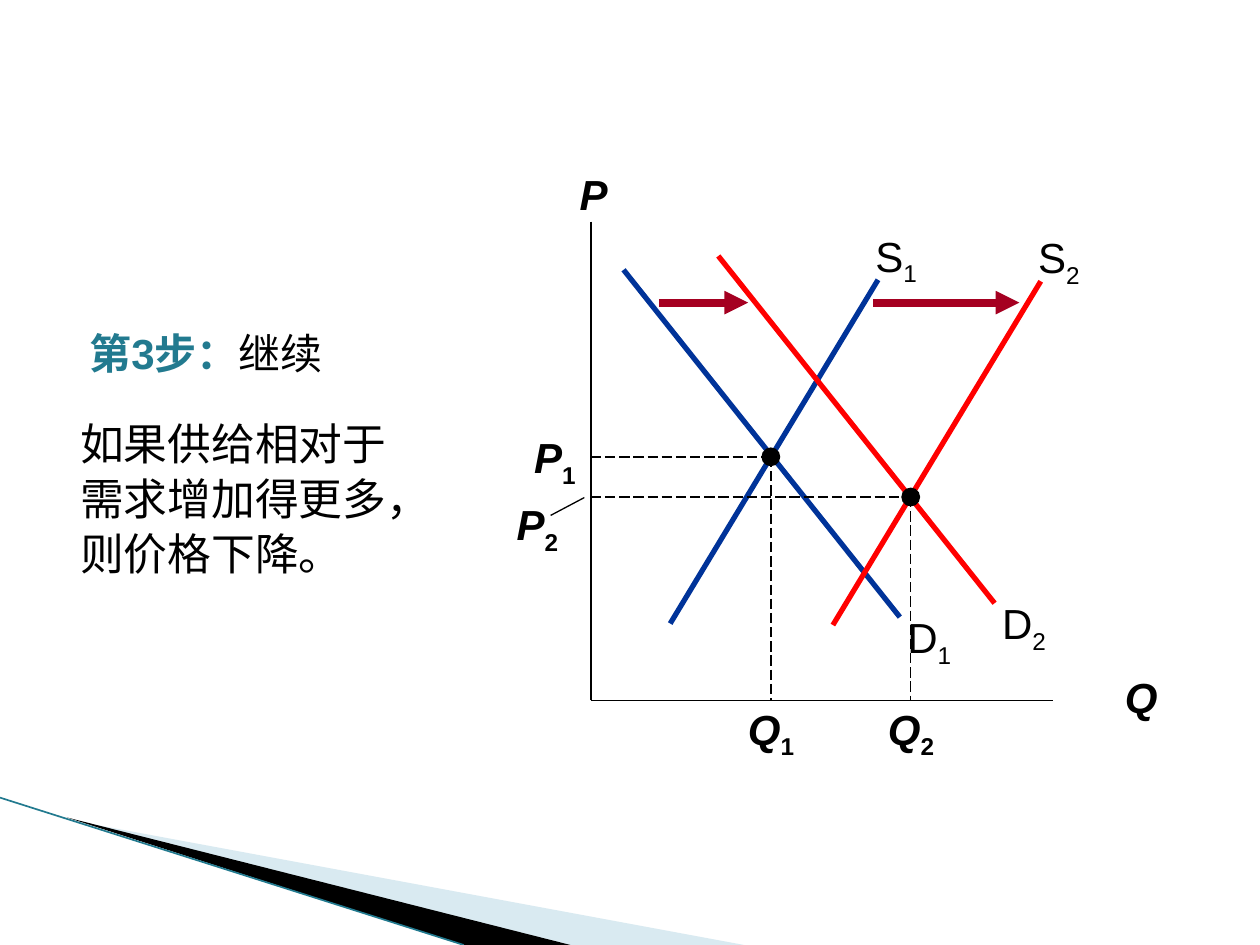
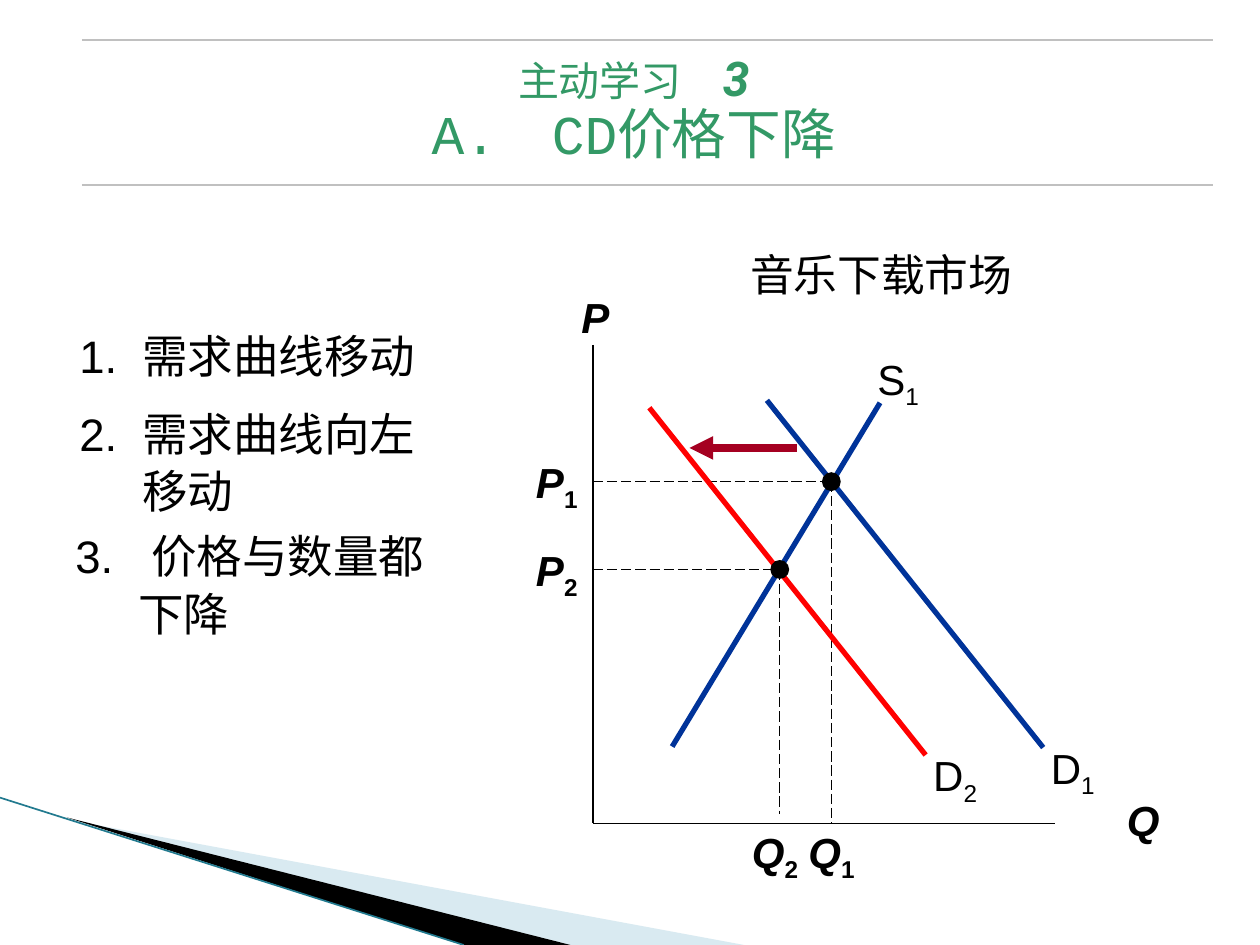
from dataclasses import dataclass

from lxml.etree import SubElement
from pptx import Presentation
from pptx.dml.color import RGBColor
from pptx.enum.dml import MSO_LINE
from pptx.enum.shapes import MSO_CONNECTOR, MSO_SHAPE
from pptx.enum.text import PP_ALIGN
from pptx.oxml.ns import qn
from pptx.util import Cm, Pt


@dataclass(frozen=True)
class Theme:
    ink: str = "000000"
    paper: str = "FFFFFF"
    teal: str = "227A8F"
    wedge: str = "A0CBDC"
    title: str = "339966"
    rule: str = "C0C0C0"
    before: str = "003399"
    after: str = "FF0000"
    shift: str = "A50021"
    font: str = "Arial"
    mono: str = "Courier New"
    title_font: str = "Roboto"
    label_size: float = 24
    body_size: float = 25
    list_size: float = 26
    lead_size: float = 23.4
    number_size: float = 27.3
    title_size: float = 31.2


THEME = Theme()
PAGE_WIDTH, PAGE_HEIGHT = 25.4, 19.05
AXIS_WIDTH, AXIS_HEIGHT = 9.32, 9.65
DEMAND_RUN = (5.57, 7.0)
SUPPLY_RUN = (4.19, -6.93)
DOT = 0.38


def add_line(page, start, end, color, width, dash=None, arrow=False):
    line = page.shapes.add_connector(
        MSO_CONNECTOR.STRAIGHT, *(Cm(value) for value in (*start, *end)))
    line.line.color.rgb = RGBColor.from_string(color)
    line.line.width = Pt(width)
    if dash:
        line.line.dash_style = dash
    if arrow:
        SubElement(line.line._get_or_add_ln(), qn("a:tailEnd"), type="triangle")
    SubElement(line._element.spPr, qn("a:effectLst"))


def fill_shape(shape, color):
    shape.shadow.inherit = False
    shape.fill.solid()
    shape.fill.fore_color.rgb = RGBColor.from_string(color)
    shape.line.fill.background()


def add_box(page, left, top, width, height, inset=True):
    box = page.shapes.add_textbox(Cm(left), Cm(top), Cm(width), Cm(height))
    frame = box.text_frame
    frame.word_wrap = True
    if not inset:
        frame.margin_left = frame.margin_right = 0
        frame.margin_top = frame.margin_bottom = 0
    return frame


def add_span(para, text, size, color=THEME.ink, font=THEME.font,
             bold=False, italic=False):
    span = para.add_run()
    span.text = text
    span.font.size = Pt(size)
    span.font.name = font
    span.font.bold = bold
    span.font.italic = italic
    span.font.color.rgb = RGBColor.from_string(color)
    return span


def add_label(page, left, top, width, height, letter, index="",
              strong=False, inset=True):
    """Place a centred letter with an optional subscript index."""
    para = add_box(page, left, top, width, height, inset).paragraphs[0]
    para.alignment = PP_ALIGN.CENTER
    add_span(para, letter, THEME.label_size, bold=strong, italic=strong)
    if index:
        span = add_span(para, index, THEME.label_size, bold=strong)
        span._r.get_or_add_rPr().set("baseline", "-25000")


def add_wedge(page, points, color, alpha=None):
    points = [(Cm(x), Cm(y)) for x, y in points]
    builder = page.shapes.build_freeform(*points[0], scale=1.0)
    builder.add_line_segments(points[1:], close=True)
    wedge = builder.convert_to_shape()
    fill_shape(wedge, color)
    if alpha:
        color_node = wedge._element.spPr.find(".//" + qn("a:srgbClr"))
        SubElement(color_node, qn("a:alpha"), val=str(alpha * 1000))


def add_corner_band(page):
    top = 16.08
    add_wedge(page, [(1.4, top + 0.45), (15, PAGE_HEIGHT), (11.5, PAGE_HEIGHT)],
              THEME.wedge, alpha=40)
    add_wedge(page, [(1.35, top + 0.4), (11.5, PAGE_HEIGHT), (9.33, PAGE_HEIGHT)],
              THEME.ink)
    add_line(page, (0, top), (9.35, PAGE_HEIGHT), THEME.teal, 0.95)


class MarketDiagram:
    """A price-quantity diagram; positions count from the top of the price axis."""

    def __init__(self, page, left, top):
        self.page, self.left, self.top = page, left, top
        corner = (0, AXIS_HEIGHT)
        self.line((0, 0), corner, THEME.ink, 1)
        self.line(corner, (AXIS_WIDTH, AXIS_HEIGHT), THEME.ink, 1)
        self.label(-0.53, -1.19, 1.17, 1.27, "P", strong=True)
        self.label(10.46, 8.94, 1.27, 1.27, "Q", strong=True)

    def at(self, x, y):
        return self.left + x, self.top + y

    def line(self, start, end, color, width, **options):
        add_line(self.page, self.at(*start), self.at(*end), color, width, **options)

    def label(self, x, y, *details, **options):
        add_label(self.page, *self.at(x, y), *details, **options)

    def curve(self, letter, index, start, color):
        run = DEMAND_RUN if letter == "D" else SUPPLY_RUN
        end_x, end_y = start[0] + run[0], start[1] + run[1]
        self.line(start, (end_x, end_y), color, 3)
        shift_x, shift_y = (-0.18, -0.23) if letter == "D" else (-0.41, -1.12)
        self.label(end_x + shift_x, end_y + shift_y, 1.55, 1.27, letter, index)

    def equilibrium(self, index, x, y, price_shift=(-1.4, -0.51),
                    quantity_shift=-0.67, gap=0):
        dashed = {"dash": MSO_LINE.LONG_DASH}
        self.line((0, y), (x, y), THEME.ink, 0.75, **dashed)
        self.line((x, y), (x, AXIS_HEIGHT - gap), THEME.ink, 0.75, **dashed)
        left, top = self.at(x - DOT / 2, y - DOT / 2)
        dot = self.page.shapes.add_shape(
            MSO_SHAPE.OVAL, Cm(left), Cm(top), Cm(DOT), Cm(DOT))
        fill_shape(dot, THEME.ink)
        for letter, label_x, label_y in (
                ("P", price_shift[0], y + price_shift[1]),
                ("Q", x + quantity_shift, AXIS_HEIGHT + 0.06)):
            self.label(label_x, label_y, 1.35, 1.02, letter, index,
                       strong=True, inset=False)

    def shift_arrow(self, x, y, length):
        self.line((x, y), (x + length, y), THEME.shift, 4.5, arrow=True)


def add_title(page, left, top, width, height):
    for rule_y in (top - 0.18, top + height + 0.1):
        add_line(page, (left, rule_y), (left + width, rule_y), THEME.rule, 1)
    frame = add_box(page, left, top, width, height)
    lead, heading = frame.paragraphs[0], frame.add_paragraph()
    for para in (lead, heading):
        para.alignment = PP_ALIGN.CENTER
        para.line_spacing = 0.9
    lead._p.get_or_add_pPr().set("marR", str(Cm(0.55)))
    add_span(lead, "主动学习　", THEME.lead_size, THEME.title, THEME.title_font)
    add_span(lead, "3", THEME.number_size, THEME.title, THEME.title_font,
             bold=True, italic=True)
    add_span(heading, "A.　CD价格下降", THEME.title_size, THEME.title, THEME.mono)


def add_step_text(page, left, top):
    step = add_box(page, left + 0.18, top, 7.14, 1.4).paragraphs[0]
    step.line_spacing = 0.85
    for text, font in (("第", THEME.mono), ("3", THEME.font), ("步：", THEME.mono)):
        add_span(step, text, THEME.label_size, THEME.teal, font, bold=True)
    add_span(step, "继续", THEME.label_size, font=THEME.mono)
    result = add_box(page, left, top + 1.6, 7.06, 5.08).paragraphs[0]
    result.line_spacing = 1.05
    add_span(result, "如果供给相对于需求增加得更多，则价格下降。", THEME.body_size)


def add_answers(page, left, top):
    answers = (
        (0, 0, 9, "1.\t需求曲线移动"),
        (0, 1.57, 7.85, "2.\t需求曲线向左移动"),
        (-0.08, 4.04, 7.9, "3.\t 价格与数量都下降"),
    )
    for x, y, width, text in answers:
        para = add_box(page, left + x, top + y, width, 1.5).paragraphs[0]
        para.line_spacing = 1.05
        properties = para._p.get_or_add_pPr()
        properties.set("marL", str(Cm(1.27)))
        properties.set("indent", str(-Cm(1.27)))
        add_span(para, text, THEME.list_size)


def add_market_name(page, left, top, width, height):
    box = page.shapes.add_shape(
        MSO_SHAPE.RECTANGLE, Cm(left), Cm(top), Cm(width), Cm(height))
    fill_shape(box, THEME.paper)
    para = box.text_frame.paragraphs[0]
    para.alignment = PP_ALIGN.CENTER
    add_span(para, "音乐下载市场", THEME.body_size)


def add_page(deck):
    page = deck.slides.add_slide(deck.slide_layouts[6])
    add_corner_band(page)
    return page


def build_step_page(deck):
    page = add_page(deck)
    add_step_text(page, 1.37, 6.63)
    diagram = MarketDiagram(page, 11.91, 4.47)
    diagram.curve("D", "1", (0.66, 0.97), THEME.before)
    diagram.curve("S", "1", (1.6, 8.1), THEME.before)
    diagram.equilibrium("1", 3.63, 4.74)
    diagram.curve("S", "2", (4.88, 8.13), THEME.after)
    diagram.curve("D", "2", (2.57, 0.69), THEME.after)
    diagram.shift_arrow(5.69, 1.63, 2.95)
    diagram.shift_arrow(1.37, 1.63, 1.8)
    diagram.equilibrium("2", 6.45, 5.55, price_shift=(-1.75, 0.03))
    diagram.line((-0.13, 5.56), (-0.81, 5.92), THEME.ink, 0.75)


def build_answer_page(deck):
    page = add_page(deck)
    add_title(page, 1.65, 0.99, 22.8, 2.64)
    add_answers(page, 1.35, 6.43)
    diagram = MarketDiagram(page, 11.95, 6.95)
    diagram.curve("D", "1", (3.51, 1.12), THEME.before)
    diagram.curve("S", "1", (1.6, 8.1), THEME.before)
    diagram.equilibrium("1", 4.81, 2.76)
    diagram.curve("D", "2", (1.14, 1.27), THEME.after)
    diagram.shift_arrow(4.11, 2.08, -2.16)
    add_market_name(page, 13.94, 4.85, 7.65, 1.35)
    diagram.equilibrium("2", 3.77, 4.53, quantity_shift=-0.77, gap=0.2)


def main():
    deck = Presentation()
    deck.slide_width, deck.slide_height = Cm(PAGE_WIDTH), Cm(PAGE_HEIGHT)
    build_step_page(deck)
    build_answer_page(deck)
    deck.save("out.pptx")


if __name__ == "__main__":
    main()
